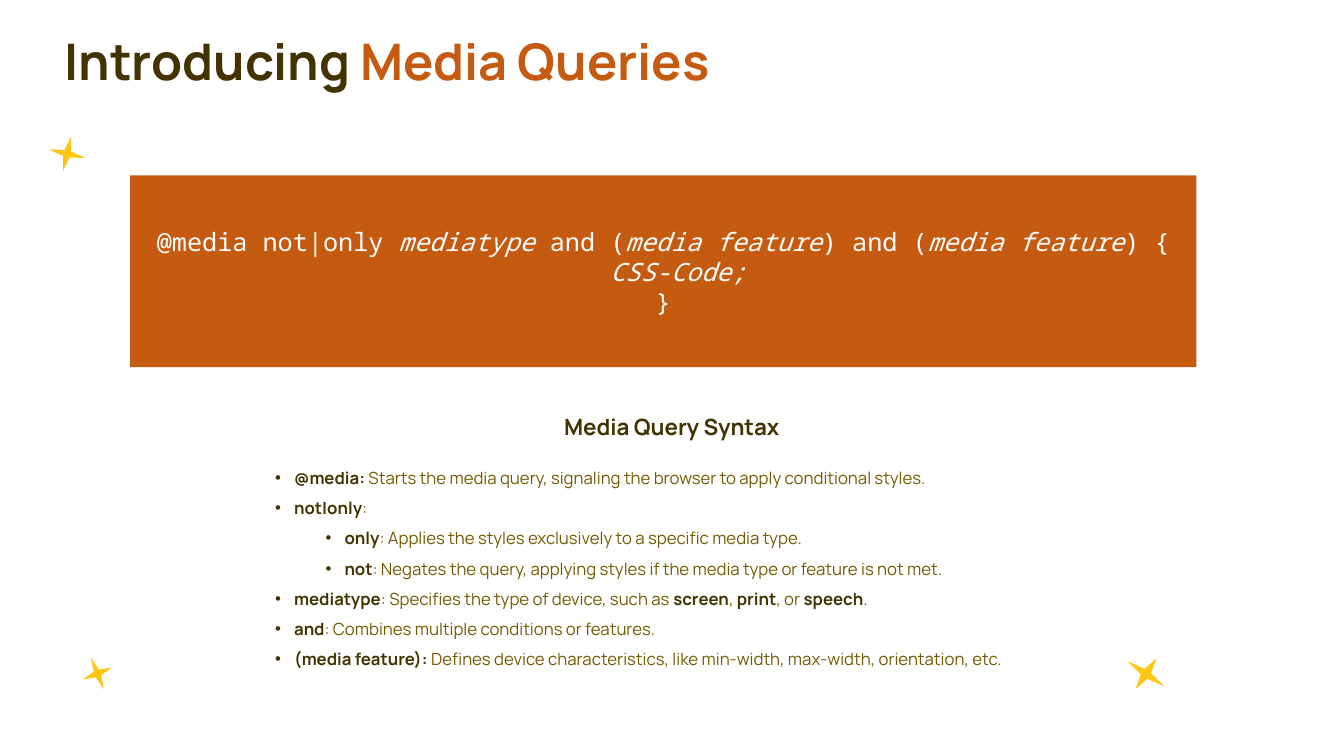
from lxml import etree
from pptx import Presentation
from pptx import util as u
from pptx.dml.color import RGBColor
from pptx.enum import shapes, text
from pptx.oxml.ns import qn

HUES = {"dark": "423300", "olive": "745A00", "rust": "C55A11",
        "gold": "FCC613", "white": "FFFFFF"}
SANS, MONO = "Manrope", "Noto Sans Mono"
LEFT, MID = text.PP_ALIGN.LEFT, text.PP_ALIGN.CENTER


class Page:
    """Holds the style and the slide, and adds each kind of element."""

    def __init__(self, deck):
        self.slide = deck.slides.add_slide(deck.slide_layouts[1])

    def place(self, item, box):
        item.left, item.top, item.width, item.height = map(u.Cm, box)

    def frame(self, item, anchor):
        frame = item.text_frame
        frame.word_wrap = True
        frame.auto_size = text.MSO_AUTO_SIZE.NONE
        frame.vertical_anchor = anchor
        return frame

    def lines(self, frame, rows):
        for i, row in enumerate(rows):
            yield (frame.add_paragraph() if i else frame.paragraphs[0]), row

    def style(self, para, line, font, size, hues, align=LEFT, bold=None, slant=None):
        para.alignment = align
        para.font.name, para.font.size = font, u.Pt(size)
        for i, part in enumerate(line.split("*")):
            if part:
                run = para.add_run()
                run.text = part
                run.font.color.rgb = RGBColor.from_string(HUES[hues[i % 2]])
                run.font.bold = bold[i % 2] if bold else False
                run.font.italic = slant[i % 2] if slant else False

    def indent(self, para, left, hang=0):
        props = para._p.get_or_add_pPr()
        props.set("marL", str(u.Cm(left)))
        props.set("indent", str(-u.Cm(hang)))
        return props

    def title(self, box, line):
        item = self.slide.shapes.title
        self.place(item, box)
        para = self.frame(item, text.MSO_ANCHOR.BOTTOM).paragraphs[0]
        para.line_spacing = u.Pt(50.2)
        self.style(para, line, SANS, 36, ("dark", "rust"), bold=(True, True))

    def bullets(self, box, rows):
        item = self.slide.placeholders[1]
        self.place(item, box)
        frame = self.frame(item, text.MSO_ANCHOR.TOP)
        for para, (level, line) in self.lines(frame, rows):
            para.level = level
            props = self.indent(para, 0.48 + 1.27 * level, 0.48)
            etree.SubElement(props, qn("a:buFont")).set("typeface", "Arial")
            etree.SubElement(props, qn("a:buChar")).set("char", "•")
            para.line_spacing = 1.5
            para.space_before = u.Pt(0)
            self.style(para, line, SANS, 12, ("olive", "dark"), bold=(False, True))

    def label(self, box, line):
        item = self.slide.shapes.add_textbox(*map(u.Cm, box))
        para = self.frame(item, text.MSO_ANCHOR.TOP).paragraphs[0]
        self.style(para, line, SANS, 16, ("dark", "dark"), MID, (True, True))

    def shape(self, kind, box, hue, turn=0):
        item = self.slide.shapes.add_shape(kind, *map(u.Cm, box))
        item.shadow.inherit = False
        item.fill.solid()
        item.fill.fore_color.rgb = RGBColor.from_string(HUES[hue])
        item.line.fill.background()
        item.rotation = turn
        return item

    def star(self, box, turn):
        self.shape(shapes.MSO_SHAPE.STAR_4_POINT, box, "gold", turn)

    def code(self, box, rows):
        item = self.shape(shapes.MSO_SHAPE.RECTANGLE, box, "rust")
        frame = self.frame(item, text.MSO_ANCHOR.MIDDLE)
        for para, (left, line) in self.lines(frame, rows):
            self.indent(para, left)
            self.style(para, line, MONO, 18, ("white", "white"), MID,
                       slant=(False, True))


def main():
    """Build the slide and save it."""
    deck = Presentation()
    deck.slide_width, deck.slide_height = u.Cm(33.87), u.Cm(19.05)
    page = Page(deck)
    for box, turn in (((28.32, 16.51, 1.12, 0.94), 34.3),
                      ((1.22, 3.43, 0.94, 0.89), 13.1),
                      ((2.06, 16.54, 0.79, 0.86), 337.7)):
        page.star(box, turn)
    page.title((1.37, 0, 25.4, 2.41), "Introducing *Media Queries*")
    page.bullets((6.68, 11.4, 20.5, 5.59), (
        (0, "*@media: *Starts the media query, signaling the browser to apply conditional styles."),
        (0, "*not|only*:"),
        (1, "*only*: Applies the styles exclusively to a specific media type."),
        (1, "*not*: Negates the query, applying styles if the media type or feature is not met."),
        (0, "*mediatype*: Specifies the type of device, such as *screen*, *print*, or *speech*."),
        (0, "*and*: Combines multiple conditions or features."),
        (0, "*(media feature): *Defines device characteristics, like min-width, max-width, orientation, etc."),
    ))
    page.label((9.88, 10.29, 14.1, 0.94), "Media Query Syntax")
    page.code((3.28, 4.42, 26.87, 4.83), (
        (0, "@media not|only *mediatype *and (*media feature*) and (*media feature*) {"),
        (0.76, "*CSS-Code;*"),
        (0, "}"),
    ))
    deck.save("out.pptx")


if __name__ == "__main__":
    main()
